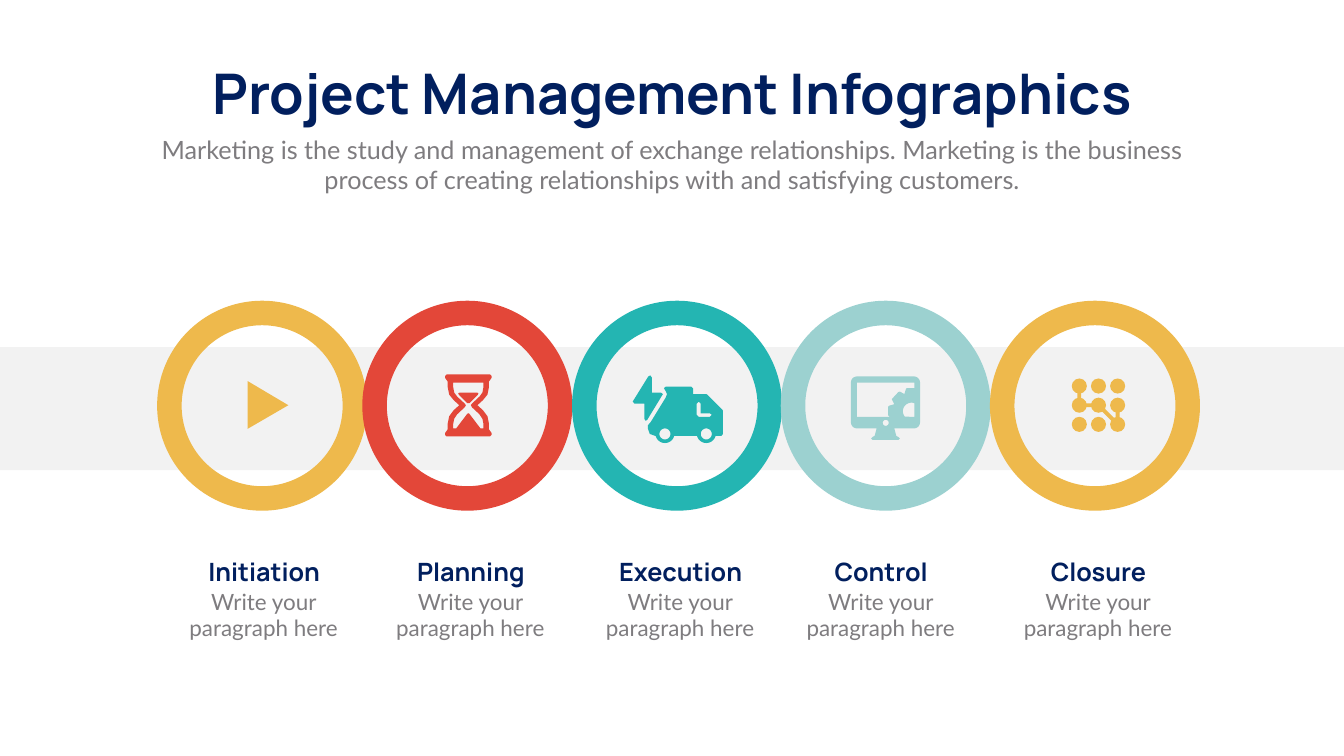
import math

import pptx
import pptx.dml.color
import pptx.enum.shapes
import pptx.enum.text
import pptx.util
from pptx.util import Inches

NAVY, GREY, BAND = "011F5E", "7E7C7F", "F2F2F2"
GOLD, RED, TEAL, AQUA = "EEB94C", "E34739", "24B5B2", "9CD1D0"


def color(hex_value):
    return pptx.dml.color.RGBColor.from_string(hex_value)


def arc(center_x, center_y, radius, start=0, end=360):
    steps = 24
    angles = [math.radians(start + (end - start) * i / steps) for i in range(steps + 1)]
    return [(center_x + radius * math.cos(a), center_y + radius * math.sin(a)) for a in angles]


deck = pptx.Presentation()
deck.slide_width, deck.slide_height = Inches(26.66), Inches(15)
slide = deck.slides.add_slide(deck.slide_layouts[5])
shapes = slide.shapes

heading_format = {"name": "Manrope", "size": pptx.util.Pt(36), "bold": True}
title_format = {"name": "Manrope", "size": pptx.util.Pt(80), "bold": True}
intro_format = {"name": "Lato", "size": pptx.util.Pt(36), "bold": False}
caption_format = {"name": "Lato", "size": pptx.util.Pt(32), "bold": False}

band = shapes.add_shape(pptx.enum.shapes.MSO_SHAPE.RECTANGLE, 0, Inches(6.89), Inches(26.66), Inches(2.44))
band.shadow.inherit = False
band.fill.solid()
band.fill.fore_color.rgb = color(BAND)
band.line.fill.background()

intro = (
    "Marketing is the study and management of exchange relationships. "
    "Marketing is the business process of creating relationships with and satisfying customers."
)
texts = [
    ("Project Management Infographics", (3.36, 1.12, 19.95, 1.45), title_format, NAVY),
    (intro, (2.92, 2.61, 20.82, 1.31), intro_format, GREY),
]

stages = [
    ("Initiation", 3.36, 3.33, 2.67, GOLD),
    ("Planning", 7.43, 7.43, 2.67, RED),
    ("Execution", 11.59, 11.59, 2.89, TEAL),
    ("Control", 15.73, 15.57, 2.67, AQUA),
    ("Closure", 19.88, 19.88, 2.67, GOLD),
]
for stage, ring_left, caption_left, heading_width, hue in stages:
    ring = shapes.add_shape(
        pptx.enum.shapes.MSO_SHAPE.OVAL, Inches(ring_left), Inches(6.21), Inches(3.68), Inches(3.68)
    )
    ring.shadow.inherit = False
    ring.fill.background()
    ring.line.color.rgb = color(hue)
    ring.line.width = pptx.util.Pt(35)
    heading_left = caption_left + 1.91 - heading_width / 2
    texts.append((stage, (heading_left, 10.98, heading_width, 0.71), heading_format, NAVY))
    texts.append(("Write your paragraph here", (caption_left, 11.61, 3.8, 1.18), caption_format, GREY))

for wording, place, text_format, hue in texts:
    is_title = text_format is title_format
    box = shapes.title if is_title else shapes.add_textbox(0, 0, 0, 0)
    box.left, box.top, box.width, box.height = [Inches(length) for length in place]
    frame_format = {
        "word_wrap": not is_title,
        "auto_size": pptx.enum.text.MSO_AUTO_SIZE.SHAPE_TO_FIT_TEXT,
        "vertical_anchor": pptx.enum.text.MSO_ANCHOR.TOP,
    }
    for name, value in frame_format.items():
        setattr(box.text_frame, name, value)
    paragraph = box.text_frame.paragraphs[0]
    paragraph.alignment = pptx.enum.text.PP_ALIGN.CENTER
    run = paragraph.add_run()
    run.text = wording
    for name, value in text_format.items():
        setattr(run.font, name, value)
    run.font.color.rgb = color(hue)

play = [(4.91, 7.56), (5.72, 8.04), (4.91, 8.51)]
bolt = [
    (13.11, 7.79), (12.93, 7.79), (12.93, 7.49), (12.9, 7.45), (12.86, 7.47), (12.55, 7.97),
    (12.59, 8.01), (12.78, 8.01), (12.78, 8.31), (12.81, 8.35), (12.84, 8.33), (13.15, 7.82),
]
truck_body = [
    (14.34, 8.15), (14.33, 8.13), (14.03, 7.83), (14.01, 7.82), (13.75, 7.82), (13.75, 7.71),
    (13.71, 7.67), (13.21, 7.67), (13.17, 7.7), (13.21, 7.77), (13.23, 7.82), (13.21, 7.88),
    (12.91, 8.37), (12.85, 8.44), (12.85, 8.5), (12.89, 8.61), (13, 8.65),
    *arc(13.19, 8.6, 0.19, 165, 15), *arc(14.01, 8.6, 0.19, 165, 15), (14.31, 8.65), (14.34, 8.61),
]
truck_window = [
    (13.82, 8.01), (13.86, 7.97), (13.9, 8.01), (13.9, 8.2), (14.08, 8.2),
    (14.12, 8.23), (14.08, 8.27), (13.86, 8.27), (13.82, 8.23),
]
truck = [truck_body, arc(13.19, 8.61, 0.11), arc(14.01, 8.61, 0.11), truck_window]

monitor_frame = [
    *arc(18.13, 7.59, 0.12, -90, 0), *arc(18.13, 8.38, 0.12, 0, 90),
    (17.74, 8.5), (17.78, 8.65), (17.82, 8.67), (17.85, 8.7), (17.82, 8.73),
    (17.31, 8.73), (17.28, 8.7), (17.31, 8.67), (17.35, 8.65), (17.39, 8.5),
    *arc(17, 8.38, 0.12, 90, 180), *arc(17, 7.59, 0.12, 180, 270),
]
monitor_screen = [
    (17, 7.59), (18.14, 7.59), (18.14, 7.7), (17.99, 7.7), (17.97, 7.72), (17.94, 7.82),
    (17.85, 7.77), (17.82, 7.78), (17.69, 7.92), (17.74, 8.02), (17.64, 8.05), (17.62, 8.07),
    (17.62, 8.24), (17.65, 8.27), (17, 8.27),
]
gear_hole = [*arc(18.08, 8.16, 0.17, 140, 290), (18.14, 8.27)]
monitor = [monitor_frame, arc(17.57, 8.39, 0.06), monitor_screen, gear_hole]

glass_half = [
    (9.72, 7.43), (9.75, 7.46), (9.75, 7.5), (9.7, 7.57), (9.7, 7.68), (9.67, 7.83),
    (9.58, 7.94), (9.47, 8.04), (9.58, 8.14), (9.67, 8.26), (9.7, 8.41), (9.7, 8.52),
    (9.75, 8.59), (9.75, 8.63), (9.72, 8.66),
]
hollow_half = [
    (9.59, 7.59), (9.59, 7.68), (9.57, 7.79), (9.51, 7.87), (9.36, 8.01), (9.34, 8.04),
    (9.36, 8.08), (9.51, 8.22), (9.57, 8.31), (9.59, 8.41), (9.59, 8.5), (9.53, 8.5),
    (9.31, 8.21), (9.29, 8.2),
]
sand_half = [(9.46, 7.79), (9.49, 7.8), (9.48, 7.83), (9.31, 8)]
glass, hollow, sand = [
    half + [(2 * 9.29 - x, y) for x, y in reversed(half)]
    for half in (glass_half, hollow_half, sand_half)
]

icons = [
    ([play], GOLD), ([bolt], TEAL), (truck, TEAL), (monitor, AQUA), ([glass, hollow], RED), ([sand], RED),
]
for outlines, hue in icons:
    builder = None
    for outline in outlines:
        start, *rest = [(Inches(x), Inches(y)) for x, y in outline]
        if builder is None:
            builder = shapes.build_freeform(*start)
        else:
            builder.move_to(*start)
        builder.add_line_segments(rest, close=True)
    icon = builder.convert_to_shape()
    icon.shadow.inherit = False
    icon.fill.solid()
    icon.fill.fore_color.rgb = color(hue)
    icon.line.fill.background()

dot_size, dot_pitch = 0.3, 0.38
for row in range(3):
    for column in range(3):
        dot = shapes.add_shape(
            pptx.enum.shapes.MSO_SHAPE.OVAL,
            Inches(21.26 + column * dot_pitch), Inches(7.51 + row * dot_pitch),
            Inches(dot_size), Inches(dot_size),
        )
        dot.shadow.inherit = False
        dot.fill.solid()
        dot.fill.fore_color.rgb = color(GOLD)
        dot.line.fill.background()

trail_stops = [(0, 0), (0, 1), (1, 1), (2, 2), (2, 1)]
trail_start, *trail_rest = [
    (Inches(21.41 + column * dot_pitch), Inches(7.66 + row * dot_pitch)) for column, row in trail_stops
]
trail_builder = shapes.build_freeform(*trail_start)
trail_builder.add_line_segments(trail_rest, close=False)
trail = trail_builder.convert_to_shape()
trail.shadow.inherit = False
trail.fill.background()
trail.line.color.rgb = color(GOLD)
trail.line.width = pptx.util.Pt(5.5)

deck.save("out.pptx")
